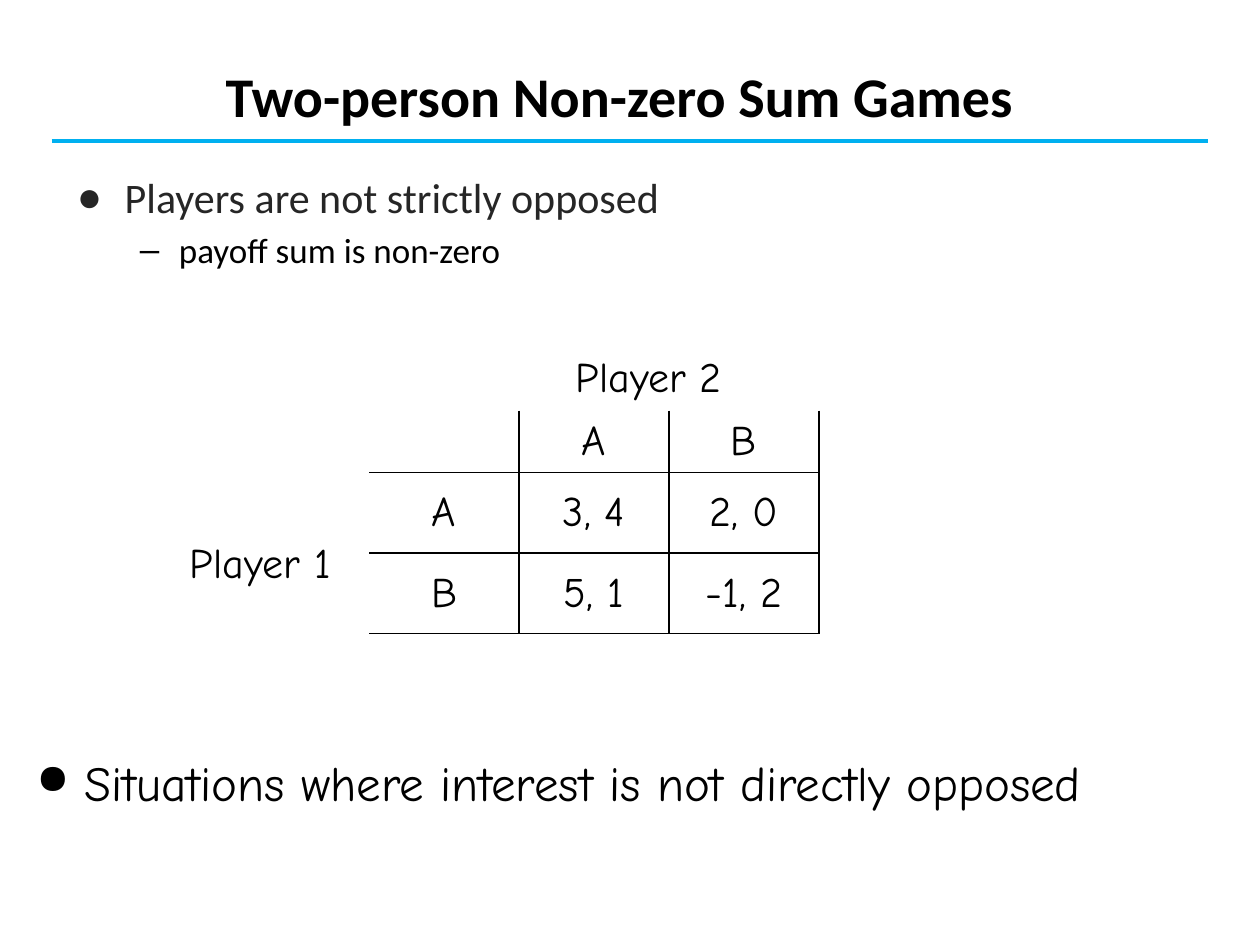
"""Build a slide on two-person non-zero sum games with a payoff table."""
import lxml.etree
import pptx
import pptx.dml.color
import pptx.enum.shapes
import pptx.enum.text
import pptx.oxml.ns
import pptx.util

Inches = pptx.util.Inches
Pt = pptx.util.Pt
align = pptx.enum.text.PP_ALIGN
anchor = pptx.enum.text.MSO_ANCHOR
qn = pptx.oxml.ns.qn


def style(para, text, size, face, color="000000", bold=False, bullet=None, left=0, hang=0, scale=100):
    """Fill a paragraph and set its bullet, indent and font."""
    para.text = text
    para.space_before = Pt(0)
    if bullet:
        props = para._p.get_or_add_pPr()
        props.set("marL", str(Inches(left)))
        props.set("indent", str(-Inches(hang)))
        lxml.etree.SubElement(props, qn("a:buSzPct"), val=str(scale * 1000))
        lxml.etree.SubElement(props, qn("a:buChar"), char=bullet)
    para.font.size = Pt(size)
    para.font.name = face
    para.font.bold = bold
    para.font.color.rgb = pptx.dml.color.RGBColor.from_string(color)


def place(shape, left, top, width, height):
    """Move and size a shape in inches."""
    shape.left, shape.top = Inches(left), Inches(top)
    shape.width, shape.height = Inches(width), Inches(height)


deck = pptx.Presentation()
deck.slide_width, deck.slide_height = Inches(10), Inches(7.5)
slide = deck.slides.add_slide(deck.slide_layouts[1])
shapes = slide.shapes

rule = shapes.add_connector(pptx.enum.shapes.MSO_CONNECTOR.STRAIGHT,
                            Inches(0.41), Inches(1.12), Inches(9.59), Inches(1.12))
rule.line.color.rgb = pptx.dml.color.RGBColor.from_string("00B0F0")
rule.line.width = Pt(2.25)
lxml.etree.SubElement(rule._element.spPr, qn("a:effectLst"))

title = shapes.title
place(title, 1.69, 0.44, 7.8, 0.59)
title.text_frame.vertical_anchor = anchor.TOP
style(title.text_frame.paragraphs[0], "Two-person Non-zero Sum Games", 32, "Calibri", bold=True)
title.text_frame.paragraphs[0].alignment = align.LEFT

body = slide.placeholders[1]
place(body, 0.51, 1.31, 8.95, 5.72)
style(body.text_frame.paragraphs[0], "Players are not strictly opposed", 24, "Calibri",
      "262626", bullet="●", left=0.38, hang=0.38)
point = body.text_frame.add_paragraph()
point.level = 1
style(point, "payoff sum is non-zero", 20, "Calibri", bullet="–", left=0.81, hang=0.31)
point.space_before = Pt(4)

payoffs = [["", "A", "B"], ["A", "3, 4", "2, 0"], ["B", "5, 1", "-1, 2"]]
table = shapes.add_table(3, 3, Inches(2.93), Inches(3.26), Inches(3.57), Inches(1.77)).table
table.first_row = table.horz_banding = False
for col in table.columns:
    col.width = Inches(1.19)
for row, height in zip(table.rows, [0.49, 0.64, 0.64]):
    row.height = Inches(height)
for i, row in enumerate(payoffs):
    for j, text in enumerate(row):
        cell = table.cell(i, j)
        cell.vertical_anchor = anchor.MIDDLE
        props = cell._tc.get_or_add_tcPr()
        for side, shown in [("L", j > 0), ("R", True), ("T", i > 0), ("B", True)]:
            edge = lxml.etree.SubElement(props, qn("a:ln" + side), w=str(Pt(1)))
            if shown:
                fill = lxml.etree.SubElement(edge, qn("a:solidFill"))
                lxml.etree.SubElement(fill, qn("a:srgbClr"), val="000000")
            else:
                lxml.etree.SubElement(edge, qn("a:noFill"))
        cell.fill.background()
        para = cell.text_frame.paragraphs[0]
        style(para, text, 24, "Comic Neue")
        para.alignment = align.CENTER

for text, left, top, width in [("Player 1", 1.41, 4.21, 1.4), ("Player 2", 4.47, 2.73, 1.45)]:
    label = shapes.add_textbox(Inches(left), Inches(top), Inches(width), Inches(0.5))
    label.text_frame.word_wrap = False
    style(label.text_frame.paragraphs[0], text, 24, "Comic Neue")

note = shapes.add_textbox(Inches(0.19), Inches(5.92), Inches(9.68), Inches(1.25))
note.text_frame.word_wrap = True
style(note.text_frame.paragraphs[0], "Situations where interest is not directly opposed", 28,
      "Comic Neue", bullet="●", left=0.38, hang=0.38, scale=85)

deck.save("out.pptx")
